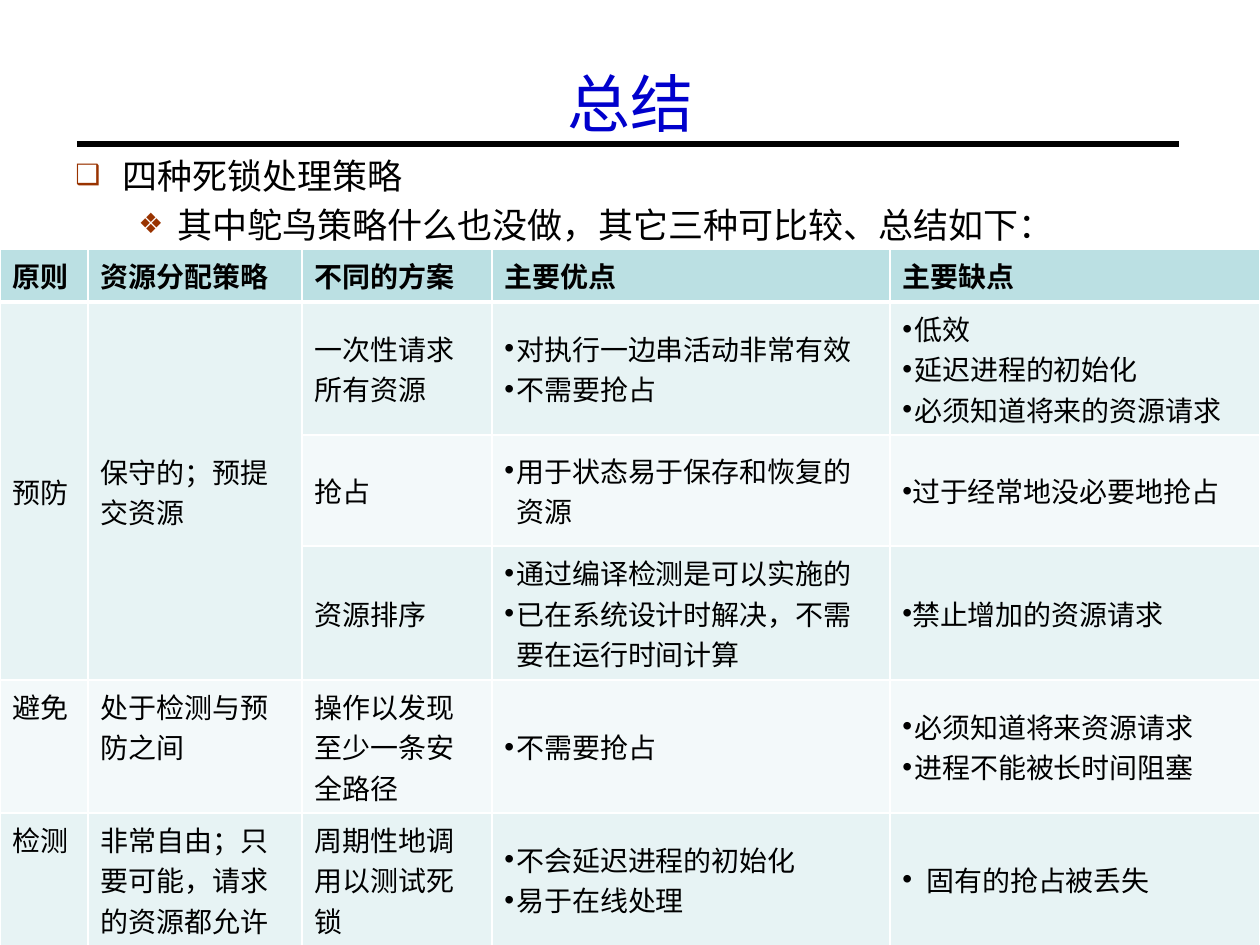
from lxml.etree import SubElement
from pptx import Presentation
from pptx.dml.color import RGBColor
from pptx.enum.shapes import MSO_CONNECTOR
from pptx.enum.text import MSO_ANCHOR as Anchor, PP_ALIGN as Align
from pptx.oxml import parse_xml
from pptx.oxml.ns import nsdecls, qn
from pptx.util import Emu, Pt

# Content: bullets are (text, indent px) items inside a list
TITLE = "总结"
POINTS = [  # text, bullet, left margin px, hanging px
    ("四种死锁处理策略", "❑", 47, 47),
    ("其中鸵鸟策略什么也没做，其它三种可比较、总结如下：", "❖", 102, 39),
]
HEADERS = ["原则", "资源分配策略", "不同的方案", "主要优点", "主要缺点"]
STRATEGIES = [
    ["预防", "保守的；预提交资源", "一次性请求所有资源",
     [("对执行一边串活动非常有效", 12), ("不需要抢占", 12)],
     [("低效", 12), ("延迟进程的初始化", 12), ("必须知道将来的资源请求", 12)]],
    [None, None, "抢占",
     [("用于状态易于保存和恢复的资源", 12)],
     [("过于经常地没必要地抢占", 0)]],
    [None, None, "资源排序",
     [("通过编译检测是可以实施的", 12), ("已在系统设计时解决，不需要在运行时间计算", 12)],
     [("禁止增加的资源请求", 0)]],
    ["避免", "处于检测与预防之间", "操作以发现至少一条安全路径",
     [("不需要抢占", 12)],
     [("必须知道将来资源请求", 12), ("进程不能被长时间阻塞", 12)]],
    ["检测", "非常自由；只要可能，请求的资源都允许", "周期性地调用以测试死锁",
     [("不会延迟进程的初始化", 12), ("易于在线处理", 12)],
     [("固有的抢占被丢失", 24)]],
]
COLUMN_WIDTHS = [88, 214, 190, 398, 370]
ROW_HEIGHTS = [53, 133, 111, 134, 133, 133]
HEADER_FILL, BANDS = "BBE0E3", ["E7F3F4", "F3F9FA"]
PREVENTION_ROWS = 3


def px(n):
    return Emu(round(n * 914400 / 126))


def color(code):
    return RGBColor.from_string(code)


def add_run(paragraph, text, size, font, code="000000", bold=False):
    run = paragraph.add_run()
    run.text = text
    run.font.size, run.font.name, run.font.bold = Pt(size), font, bold
    run.font.color.rgb = color(code)


def set_bullet(paragraph, char, left, hanging, code=None, percent=None):
    props = paragraph._p.get_or_add_pPr()
    props.set("marL", str(px(left)))
    props.set("indent", str(-px(hanging)))
    if code:
        SubElement(SubElement(props, qn("a:buClr")), qn("a:srgbClr"), val=code)
    if percent:
        SubElement(props, qn("a:buSzPct"), val=str(percent * 1000))
    SubElement(props, qn("a:buFont"), typeface="Arial")
    SubElement(props, qn("a:buChar"), char=char)


def set_borders(cell, top, bottom):
    props = cell._tc.get_or_add_tcPr()
    sides = [("L", 1), ("R", 1), ("T", top), ("B", bottom)]
    for position, (side, width) in enumerate(sides):
        props.insert(position, parse_xml(
            f'<a:ln{side} {nsdecls("a")} w="{Pt(width)}"><a:solidFill>'
            f'<a:srgbClr val="FFFFFF"/></a:solidFill></a:ln{side}>'))


def add_text_frame(slide, *box):
    frame = slide.shapes.add_textbox(*map(px, box)).text_frame
    frame.word_wrap = True
    return frame


def next_paragraph(frame, index):
    return frame.add_paragraph() if index else frame.paragraphs[0]


def fill_cell(cell, content, bold):
    if isinstance(content, str):
        add_run(cell.text_frame.paragraphs[0], content, 16, "Arial", bold=bold)
        return
    for i, (text, indent) in enumerate(content or []):
        paragraph = next_paragraph(cell.text_frame, i)
        set_bullet(paragraph, "•", indent, indent)
        add_run(paragraph, text, 16, "Arial")


def main():
    deck = Presentation()
    deck.slide_width, deck.slide_height = px(1260), px(945)
    slide = deck.slides.add_slide(deck.slide_layouts[6])

    # Title and its rule
    rule = slide.shapes.add_connector(
        MSO_CONNECTOR.STRAIGHT, px(77), px(144), px(1179), px(144))
    rule.line.color.rgb, rule.line.width = color("000000"), Pt(3)
    SubElement(rule._element.spPr, qn("a:effectLst"))
    heading = add_text_frame(slide, 64, 24, 1134, 157)
    heading.vertical_anchor = Anchor.MIDDLE
    heading.paragraphs[0].alignment = Align.CENTER
    add_run(heading.paragraphs[0], TITLE, 36, "Times New Roman", "0000CC")

    # Bulleted points
    body = add_text_frame(slide, 63, 148, 1194, 553)
    for i, (text, char, left, hanging) in enumerate(POINTS):
        paragraph = next_paragraph(body, i)
        paragraph.space_before = Pt(4)
        set_bullet(paragraph, char, left, hanging, "993300", 80)
        add_run(paragraph, text, 20, "TeX Gyre Schola")

    # Comparison table
    rows = [HEADERS] + STRATEGIES
    table = slide.shapes.add_table(
        len(rows), len(HEADERS), px(0), px(249),
        px(sum(COLUMN_WIDTHS)), px(sum(ROW_HEIGHTS))).table
    for column, width in zip(table.columns, COLUMN_WIDTHS):
        column.width = px(width)
    for row, height in zip(table.rows, ROW_HEIGHTS):
        row.height = px(height)
    for r, contents in enumerate(rows):
        for c, content in enumerate(contents):
            cell = table.cell(r, c)
            cell.fill.solid()
            cell.fill.fore_color.rgb = color(BANDS[(r - 1) % 2] if r else HEADER_FILL)
            set_borders(cell, 3 if r == 1 else 1, 3 if r == 0 else 1)
            top_aligned = r == 0 or (c < 2 and r > PREVENTION_ROWS)
            cell.vertical_anchor = Anchor.TOP if top_aligned else Anchor.MIDDLE
            fill_cell(cell, content, bold=r == 0)
    for c in range(2):
        table.cell(1, c).merge(table.cell(PREVENTION_ROWS, c))

    deck.save("out.pptx")


if __name__ == "__main__":
    main()
